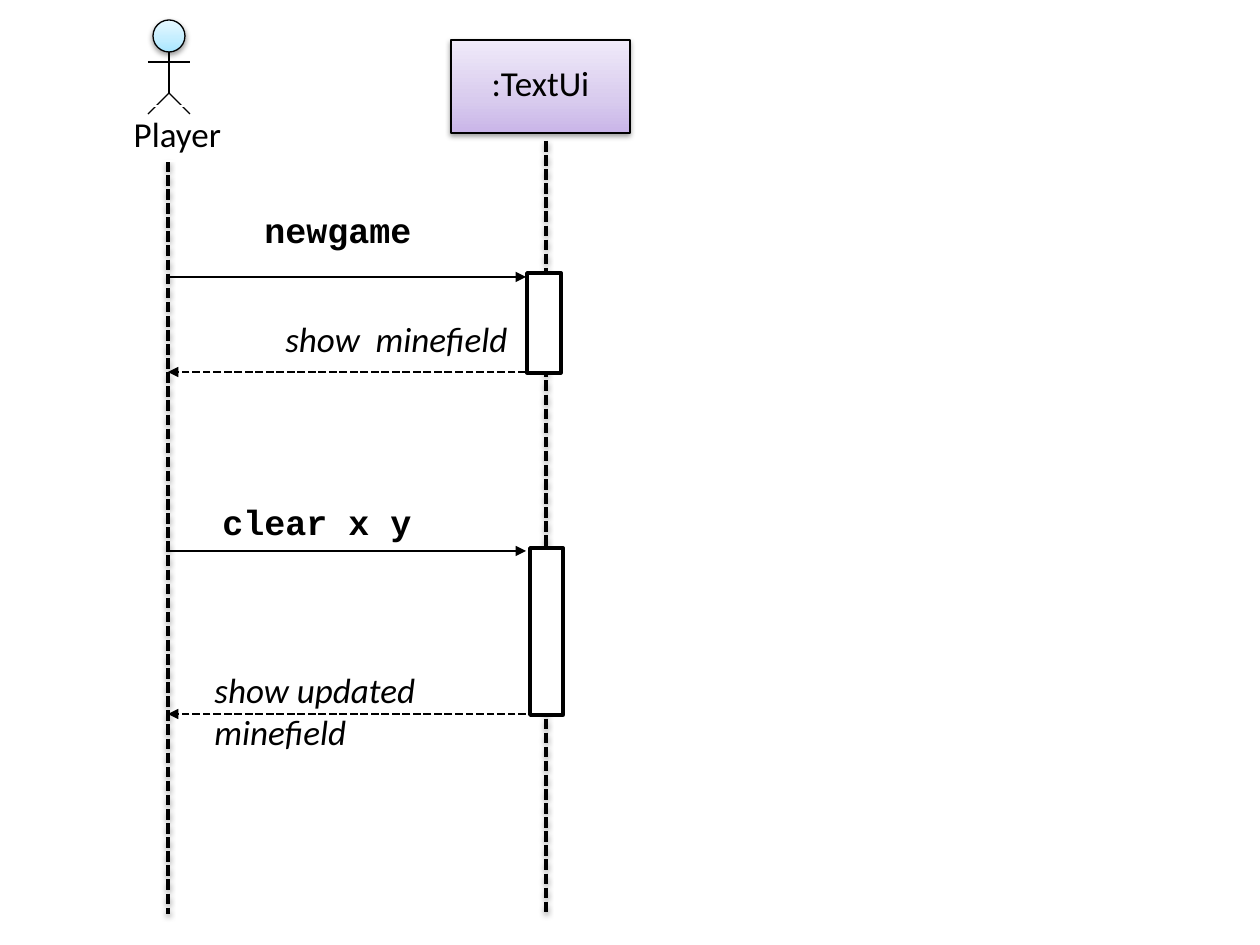
from copy import deepcopy
from dataclasses import dataclass

from lxml.etree import SubElement as Sub
from pptx import Presentation
from pptx.dml.color import RGBColor as Rgb
from pptx.enum.dml import MSO_LINE as Dash
from pptx.enum.shapes import MSO_CONNECTOR as Link, MSO_SHAPE as Kind
from pptx.enum.text import MSO_ANCHOR as Anchor, MSO_AUTO_SIZE as Fit, PP_ALIGN as Align
from pptx.oxml.ns import qn
from pptx.util import Pt

SCALE = 914400 / 126  # EMU in one px


def px(*nums):
    return [round(n * SCALE) for n in nums]


@dataclass(frozen=True)
class Theme:
    ink: str = "000000"
    paper: str = "FFFFFF"
    lilac: tuple = ("C9B5E8", "D8CBEE", "F0EAF9")
    sky: tuple = ("A7E6FF", "C1EDFF", "E7F8FF")
    stops: tuple = (0, 0.35, 1)
    sans: str = "Calibri"
    mono: str = "Courier New"
    size: int = 20
    thin: float = 0.75
    mid: float = 1.5
    bold: float = 2


class Sketch:
    def __init__(self, slide, theme):
        self.slide, self.theme = slide, theme
        self.home = slide.shapes

    def shade(self, item, soft):
        """Give the item a soft shadow below it, or none at all."""
        props = item._element.spPr
        for old in props.findall(qn("a:effectLst")):
            props.remove(old)
        effects = Sub(props, qn("a:effectLst"))
        if soft:
            glow = Sub(effects, qn("a:outerShdw"), blurRad=str(Pt(3.1)),
                       dist=str(Pt(1.6)), dir="5400000", rotWithShape="0")
            tone = Sub(glow, qn("a:srgbClr"), val=self.theme.ink)
            Sub(tone, qn("a:alpha"), val="38000")

    def blend(self, item, tones):
        fill = item.fill
        fill.gradient()
        fill.gradient_angle = 90
        stops = item._element.spPr.find(qn("a:gradFill")).find(qn("a:gsLst"))
        stops.append(deepcopy(stops[0]))
        for stop, tone, place in zip(fill.gradient_stops, tones, self.theme.stops):
            stop.color.rgb = Rgb.from_string(tone)
            stop.position = place

    def line(self, start, end, width, dashed=False, head=False, soft=False):
        item = self.home.add_connector(Link.STRAIGHT, *px(*start, *end))
        item.line.color.rgb = Rgb.from_string(self.theme.ink)
        item.line.width = Pt(width)
        if dashed:
            item.line.dash_style = Dash.SQUARE_DOT
        if head:
            Sub(item._element.spPr.find(qn("a:ln")), qn("a:tailEnd"), type="triangle")
        self.shade(item, soft)

    def shape(self, kind, box, fill, width, edge=None, soft=False):
        item = self.home.add_shape(kind, *px(*box))
        if fill is None:
            item.fill.background()
        elif isinstance(fill, tuple):
            self.blend(item, fill)
        else:
            item.fill.solid()
            item.fill.fore_color.rgb = Rgb.from_string(fill)
        item.line.color.rgb = Rgb.from_string(edge or self.theme.ink)
        item.line.width = Pt(width)
        self.shade(item, soft)
        return item

    def label(self, item, text, align=Align.LEFT, pad=6, **font):
        frame = item.text_frame
        inset = px(pad)[0]
        form = dict(word_wrap=True, auto_size=Fit.SHAPE_TO_FIT_TEXT,
                    vertical_anchor=Anchor.TOP, margin_top=inset, margin_bottom=inset)
        for key, val in form.items():
            setattr(frame, key, val)
        para = frame.paragraphs[0]
        para.alignment = align
        run = para.add_run()
        run.text = text
        form = dict(name=self.theme.sans, size=Pt(self.theme.size)) | font
        for key, val in form.items():
            setattr(run.font, key, val)
        run.font.color.rgb = Rgb.from_string(self.theme.ink)

    def note(self, box, text, **font):
        self.label(self.home.add_textbox(*px(*box)), text, **font)

    def actor(self, mid, top):
        """Draw a stick figure as one group."""
        self.home = self.slide.shapes.add_group_shape().shapes
        hip, arm, foot = top + 73, top + 42, top + 94
        limbs = [((mid, top + 20), (mid, hip)), ((mid - 21, arm), (mid + 21, arm)),
                 ((mid, hip), (mid - 21, foot)), ((mid, hip), (mid + 21, foot))]
        for start, end in limbs:
            self.line(start, end, self.theme.thin)
        self.shape(Kind.OVAL, (mid - 16, top, 32, 32), self.theme.sky,
                   self.theme.thin, soft=True)
        self.home = self.slide.shapes


def main():
    deck = Presentation()
    deck.slide_width, deck.slide_height = px(1260, 945)
    look = Theme()
    art = Sketch(deck.slides.add_slide(deck.slide_layouts[6]), look)
    left, right, foot = 168, 546, 914

    # Lifelines and the head of the interface
    art.line((right, 141), (right, foot), look.bold, dashed=True, soft=True)
    head = art.shape(Kind.RECTANGLE, (451, 40, 179, 93), look.lilac, look.thin, soft=True)
    art.label(head, ":TextUi", Align.CENTER, pad=25)
    art.line((left, 161), (left, foot), look.bold, dashed=True, soft=True)

    # Messages: commands go right, replies come back dashed
    call = dict(name=look.mono, bold=True)
    reply = dict(italic=True)
    steps = [
        (277, call, (252, 202, 199, 55), "newgame"),
        (372, reply, (273, 311, 252, 55), "show  minefield"),
        (551, call, (210, 494, 379, 55), "clear x y"),
        (714, reply, (202, 662, 311, 97), "show updated minefield"),
    ]
    for y, font, box, text in steps:
        ends = [(left, y), (526, y)]
        back = font is reply
        if back:
            ends.reverse()
        art.line(*ends, look.mid, dashed=back, head=True)
        art.note(box, text, **font)

    # Player
    art.actor(169, 20)

    # Activation bars
    for box in ((527, 273, 34, 100), (530, 548, 33, 167)):
        art.shape(Kind.RECTANGLE, box, look.paper, look.bold)

    # Name of the player
    name = art.shape(Kind.RECTANGLE, (103, 106, 149, 55), None, look.thin, edge=look.paper)
    art.label(name, "Player", Align.CENTER)

    deck.save("out.pptx")


if __name__ == "__main__":
    main()
